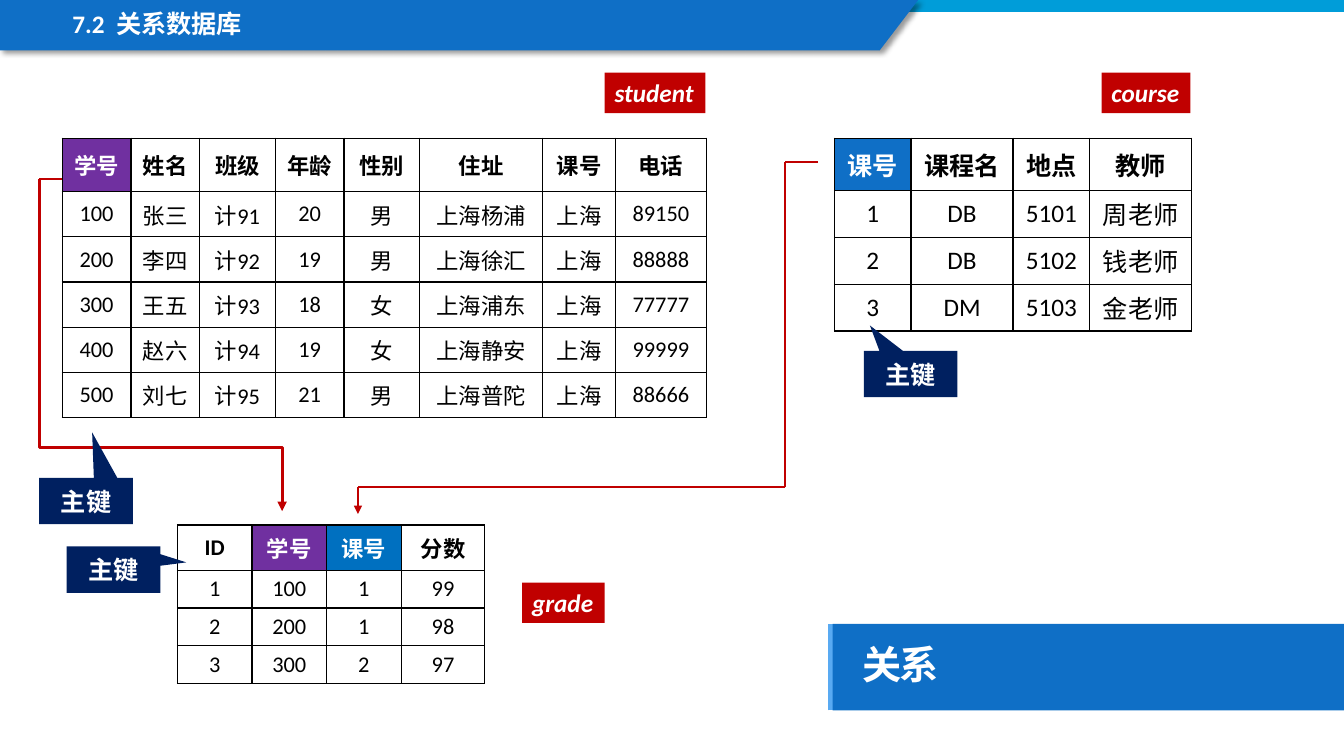
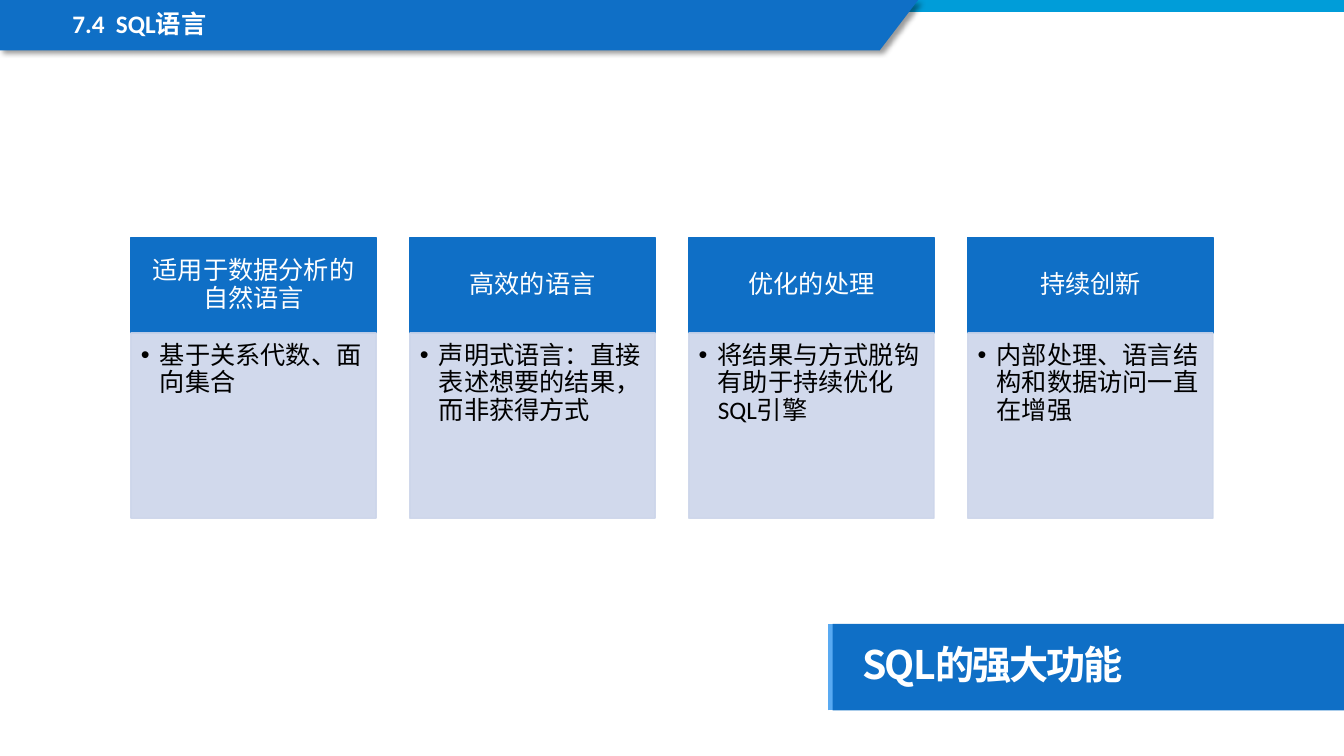
from itertools import pairwise

from pptx import Presentation
from pptx.dml.color import RGBColor
from pptx.enum.shapes import MSO_CONNECTOR, MSO_SHAPE
from pptx.enum.text import MSO_ANCHOR, MSO_AUTO_SIZE, PP_ALIGN
from pptx.oxml.ns import qn
from pptx.util import Cm, Pt
from lxml.etree import SubElement

BLUE = RGBColor(0x0F, 0x6F, 0xC6)
SKY = RGBColor(0x00, 0x9D, 0xD9)
EDGE = RGBColor(0x59, 0xAA, 0xF2)
AZURE = RGBColor(0x00, 0x70, 0xC0)
NAVY = RGBColor(0x00, 0x20, 0x60)
RED = RGBColor(0xC0, 0x00, 0x00)
PURPLE = RGBColor(0x70, 0x30, 0xA0)
PALE = RGBColor(0xCC, 0xD5, 0xEA)
WHITE = RGBColor(0xFF, 0xFF, 0xFF)
BLACK = RGBColor(0x00, 0x00, 0x00)
LATIN = "Calibri"
HAN = "Noto Sans CJK SC"

WIDTH, HEIGHT = 33.87, 19.05
TITLE = (20.98, 15.72, 12.89, 2.18)
TOPIC = (1.57, 0.18, 17.68, 0.97)

TABLES = [
    {
        "at": (1.57, 3.48), "size": 16,
        "cols": [1.73, 1.73, 1.91, 1.73, 1.91, 3.1, 1.83, 2.29],
        "rows": (1.35, 1.14), "keys": {0: PURPLE},
        "data": [
            ("学号", "姓名", "班级", "年龄", "性别", "住址", "课号", "电话"),
            ("100", "张三", "计91", "20", "男", "上海杨浦", "上海", "89150"),
            ("200", "李四", "计92", "19", "男", "上海徐汇", "上海", "88888"),
            ("300", "王五", "计93", "18", "女", "上海浦东", "上海", "77777"),
            ("400", "赵六", "计94", "19", "女", "上海静安", "上海", "99999"),
            ("500", "刘七", "计95", "21", "男", "上海普陀", "上海", "88666"),
        ],
    },
    {
        "at": (21.03, 3.48), "size": 18,
        "cols": [1.93, 2.57, 1.93, 2.57],
        "rows": (1.32, 1.18), "keys": {0: BLUE},
        "data": [
            ("课号", "课程名", "地点", "教师"),
            ("1", "DB", "5101", "周老师"),
            ("2", "DB", "5102", "钱老师"),
            ("3", "DM", "5103", "金老师"),
        ],
    },
    {
        "at": (4.47, 13.23), "size": 16,
        "cols": [1.88, 1.88, 1.88, 2.11],
        "rows": (1.14, 0.95), "keys": {1: PURPLE, 2: AZURE},
        "data": [
            ("ID", "学号", "课号", "分数"),
            ("1", "100", "1", "99"),
            ("2", "200", "1", "98"),
            ("3", "300", "2", "97"),
        ],
    },
]
TAGS = [
    ("student", 15.24, 1.83, 2.54),
    ("course", 27.76, 1.83, 2.24),
    ("grade", 13.16, 14.68, 2.08),
]
NOTES = [
    (21.77, 8.84, -0.435, -1.046),
    (0.99, 12.04, 0.065, -1.477),
    (1.68, 13.77, 0.779, -0.156),
]
STUB = [(0.99, 4.5), (1.57, 4.5)]
BEND = [(0.99, 4.5), (7.11, 12.88)]
ROUTE = [(20.62, 4.09), (19.79, 4.09), (19.79, 12.27), (9.02, 12.27), (9.02, 12.95)]

CARDS = [
    ("适用于数据分析的自然语言", "基于关系代数、面向集合"),
    ("高效的语言", "声明式语言：直接表述想要的结果，而非获得方式"),
    ("优化的处理", "将结果与方式脱钩有助于持续优化SQL引擎"),
    ("持续创新", "内部处理、语言结构和数据访问一直在增强"),
]


def write(frame, text, size, color=WHITE, bold=True, italic=False,
          align=PP_ALIGN.CENTER, face=LATIN, pitch=None):
    para = frame.paragraphs[0]
    para.alignment = align
    if pitch:
        para.line_spacing = pitch
        para.space_before = Pt(0)
    run = para.add_run()
    run.text = text
    font = run.font
    font.size, font.bold, font.italic = Pt(size), bold, italic
    font.color.rgb = color
    font.name = face
    SubElement(font._element, qn("a:ea"), typeface=HAN)
    return run


def inset(frame, left, top, right, bottom):
    frame.margin_left, frame.margin_top = Cm(left), Cm(top)
    frame.margin_right, frame.margin_bottom = Cm(right), Cm(bottom)


def place(shape, box):
    shape.left, shape.top, shape.width, shape.height = map(Cm, box)


def paint(shape, fill, line=None):
    shape.shadow.inherit = False
    shape.fill.solid()
    shape.fill.fore_color.rgb = fill
    if line is None:
        shape.line.fill.background()
    else:
        shape.line.color.rgb = line
        shape.line.width = Pt(1)
    return shape


def block(slide, box, fill, line=None, kind=MSO_SHAPE.RECTANGLE):
    shape = paint(slide.shapes.add_shape(kind, *map(Cm, box)), fill, line)
    shape.text_frame.word_wrap = True
    shape.text_frame.vertical_anchor = MSO_ANCHOR.MIDDLE
    return shape


def link(slide, start, end, color=RED, width=1.5, head=False, kind=MSO_CONNECTOR.STRAIGHT):
    wire = slide.shapes.add_connector(kind, *map(Cm, start + end))
    wire.line.color.rgb = color
    wire.line.width = Pt(width)
    if head:
        SubElement(wire.line._get_or_add_ln(), qn("a:tailEnd"), type="triangle")
    SubElement(wire._element.spPr, qn("a:effectLst"))
    return wire


def bend(slide, start, end, ratio):
    (left, top), (right, low) = start, end
    midx, midy = (left + right) / 2, (top + low) / 2
    halfx, halfy = (low - top) / 2, (right - left) / 2
    wire = link(slide, (midx - halfx, midy - halfy), (midx + halfx, midy + halfy),
                width=2.25, head=True, kind=MSO_CONNECTOR.ELBOW)
    props = wire._element.spPr
    props.xfrm.set("rot", "16200000")
    props.xfrm.set("flipH", "1")
    geom = props.find(qn("a:prstGeom"))
    guides = geom.find(qn("a:avLst"))
    if guides is None:
        guides = SubElement(geom, qn("a:avLst"))
    SubElement(guides, qn("a:gd"), name="adj1", fmla=f"val {round(ratio * 100000)}")


def share(slide):
    rail = link(slide, (20.98, 17.9), (20.98, 15.72), EDGE, 6)
    bar = block(slide, (0, 0, WIDTH, 0.3), SKY)
    path = slide.shapes.build_freeform(0, 0)
    path.add_line_segments([(Cm(23.14), 0), (Cm(22.17), Cm(1.27)), (0, Cm(1.27))], close=True)
    band = paint(path.convert_to_shape(), BLUE)
    glow = band._element.spPr.find(qn("a:effectLst"))
    shade = SubElement(glow, qn("a:outerShdw"), blurRad=str(Pt(4)), dist=str(Pt(3)),
                       dir="2700000", algn="tl", rotWithShape="0")
    tone = SubElement(shade, qn("a:srgbClr"), val=str(BLACK))
    SubElement(tone, qn("a:alpha"), val="40000")
    tree = slide.slide_layout.shapes._spTree
    for num, part in enumerate((rail, bar, band), 20):
        node = part._element
        node.xpath(".//p:cNvPr")[0].set("id", str(num))
        tree.append(node)


def begin(deck, topic, title):
    slide = deck.slides.add_slide(deck.slide_layouts[1])
    head, body = slide.placeholders
    place(head, TITLE)
    head.fill.solid()
    head.fill.fore_color.rgb = BLUE
    frame = head.text_frame
    frame.auto_size = MSO_AUTO_SIZE.NONE
    frame.vertical_anchor = MSO_ANCHOR.MIDDLE
    inset(frame, 0.76, 0.51, 0.51, 0.51)
    run = write(frame, title, 28, align=PP_ALIGN.LEFT, face=HAN, pitch=0.9)
    run.font._element.set("spc", "-150")
    place(body, TOPIC)
    frame = body.text_frame
    frame.auto_size = MSO_AUTO_SIZE.NONE
    write(frame, topic, 18, align=PP_ALIGN.LEFT, pitch=0.9)
    mark(frame, 0)
    return slide


def mark(frame, indent, sign=None):
    props = frame.paragraphs[0]._p.get_or_add_pPr()
    props.set("marL", str(Cm(indent)))
    props.set("indent", str(-Cm(indent)))
    if sign:
        SubElement(props, qn("a:buFont"), typeface="Arial")
        SubElement(props, qn("a:buChar"), char=sign)
    else:
        SubElement(props, qn("a:buNone"))


def border(cell):
    props = cell._tc.get_or_add_tcPr()
    for spot, side in enumerate("LRTB"):
        line = SubElement(props, qn(f"a:ln{side}"), w=str(Pt(1)))
        fill = SubElement(line, qn("a:solidFill"))
        SubElement(fill, qn("a:srgbClr"), val=str(BLACK))
        props.insert(spot, line)


def grid(slide, item):
    data, cols = item["data"], item["cols"]
    first, other = item["rows"]
    highs = [first] + [other] * (len(data) - 1)
    table = slide.shapes.add_table(
        len(data), len(cols), *map(Cm, item["at"] + (sum(cols), sum(highs)))).table
    table.first_row = table.horz_banding = False
    for col, wide in zip(table.columns, cols):
        col.width = Cm(wide)
    for r, (row, high) in enumerate(zip(data, highs)):
        table.rows[r].height = Cm(high)
        for c, text in enumerate(row):
            cell = table.cell(r, c)
            key = item["keys"].get(c) if r == 0 else None
            cell.fill.solid()
            cell.fill.fore_color.rgb = key or WHITE
            cell.vertical_anchor = MSO_ANCHOR.MIDDLE
            border(cell)
            write(cell.text_frame, text, item["size"], WHITE if key else BLACK, r == 0)


def tables(slide):
    for item in TABLES:
        grid(slide, item)
    for text, left, top, wide in TAGS:
        frame = block(slide, (left, top, wide, 1.02), RED).text_frame
        frame.word_wrap = False
        write(frame, text, 18, italic=True, align=PP_ALIGN.LEFT)
    bend(slide, *BEND, 0.81)
    link(slide, *STUB)
    for start, end in pairwise(ROUTE):
        link(slide, start, end, head=end == ROUTE[-1])
    for left, top, *tip in NOTES:
        note = block(slide, (left, top, 2.36, 1.17), NAVY, kind=MSO_SHAPE.RECTANGULAR_CALLOUT)
        note.adjustments[0], note.adjustments[1] = tip
        write(note.text_frame, "主键", 18)


def cards(slide):
    wide, step, top, high = 6.18, 7.03, 5.99, 2.4
    for num, (name, text) in enumerate(CARDS):
        left = 3.3 + num * step
        frame = block(slide, (left, top, wide, high), BLUE, BLUE).text_frame
        inset(frame, 0.36, 0.2, 0.36, 0.2)
        write(frame, name, 18, bold=False, pitch=0.9)
        panel = block(slide, (left, top + high, wide, 4.67), PALE, PALE)
        for tone in panel._element.spPr.iter(qn("a:srgbClr")):
            SubElement(tone, qn("a:alpha"), val="90000")
        frame = panel.text_frame
        frame.vertical_anchor = MSO_ANCHOR.TOP
        inset(frame, 0.25, 0.25, 0.36, 0.41)
        write(frame, text, 18, BLACK, False, align=PP_ALIGN.LEFT, pitch=0.9)
        mark(frame, 0.48, "•")


def main():
    deck = Presentation()
    deck.slide_width, deck.slide_height = Cm(WIDTH), Cm(HEIGHT)
    first = begin(deck, "7.2  关系数据库", "关系")
    share(first)
    tables(first)
    cards(begin(deck, "7.4  SQL语言", "SQL的强大功能"))
    deck.save("out.pptx")


if __name__ == "__main__":
    main()
